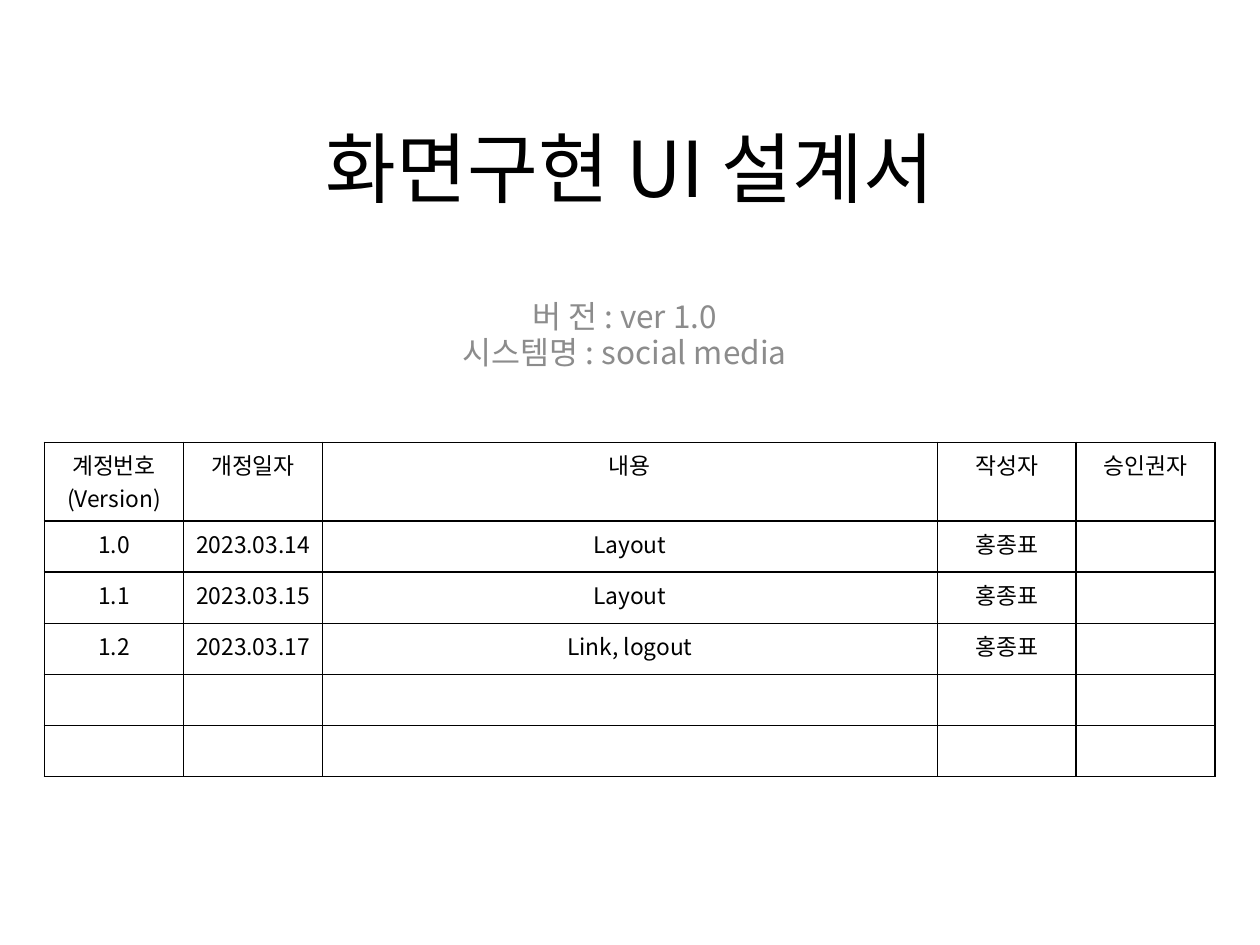
from lxml import etree
from pptx import Presentation
from pptx.dml.color import RGBColor
from pptx.enum.text import MSO_ANCHOR, PP_ALIGN
from pptx.oxml.ns import qn
from pptx.util import Pt

CENTER, MIDDLE, TOP = PP_ALIGN.CENTER, MSO_ANCHOR.MIDDLE, MSO_ANCHOR.TOP
FONT = "Noto Sans CJK KR"
COLORS = {"ink": "000000", "muted": "8C8C8C"}
TITLE = "화면구현 UI 설계서"
INFO = ["버 전 : ver 1.0", "시스템명 : social media"]
COLS = [79.4, 79.4, 351.4, 79.4, 79.4]
ROWS = [45] + [29.2] * 5
LOG = [
    ["계정번호(Version)", "개정일자", "내용", "작성자", "승인권자"],
    ["1.0", "2023.03.14", "Layout", "홍종표", ""],
    ["1.1", "2023.03.15", "Layout", "홍종표", ""],
    ["1.2", "2023.03.17", "Link, logout", "홍종표", ""],
    [""] * 5,
    [""] * 5,
]


def style(frame, size, color):
    """Centre the text of a frame and set its font."""
    for para in frame.paragraphs:
        para.alignment = CENTER
        for run in para.runs:
            run.font.size = Pt(size)
            run.font.name = FONT
            run.font.color.rgb = RGBColor.from_string(COLORS[color])
            asian = etree.SubElement(run.font._element, qn("a:ea"))
            asian.set("typeface", FONT)
        if not para.runs:
            end = etree.SubElement(para._p, qn("a:endParaRPr"))
            end.set("sz", str(size * 100))


def border(cell):
    """Draw a thin line on each side of a cell."""
    props = cell._tc.get_or_add_tcPr()
    for spot, side in enumerate(("lnL", "lnR", "lnT", "lnB")):
        line = etree.Element(qn("a:" + side), w=str(Pt(1)))
        fill = etree.SubElement(line, qn("a:solidFill"))
        etree.SubElement(fill, qn("a:srgbClr"), val=COLORS["ink"])
        props.insert(spot, line)


def add_title(slide, left, top, width, height):
    title = slide.shapes.title
    title.left, title.top = Pt(left), Pt(top)
    title.width, title.height = Pt(width), Pt(height)
    title.text_frame.text = TITLE
    title.text_frame.vertical_anchor = MIDDLE
    style(title.text_frame, 44, "ink")


def add_info(slide, left, top, width, height):
    box = slide.shapes.add_textbox(Pt(left), Pt(top), Pt(width), Pt(height))
    frame = box.text_frame
    frame.word_wrap = True
    frame.vertical_anchor = TOP
    frame.text = "\n".join(INFO)
    style(frame, 18, "muted")
    for para in frame.paragraphs:
        para.line_spacing = 0.95


def add_log(slide, left, top):
    shape = slide.shapes.add_table(
        len(ROWS), len(COLS), Pt(left), Pt(top), Pt(sum(COLS)), Pt(sum(ROWS)))
    table = shape.table
    table.first_row = table.horz_banding = False
    for col, width in zip(table.columns, COLS):
        col.width = Pt(width)
    for row, height, texts in zip(table.rows, ROWS, LOG):
        row.height = Pt(height)
        for cell, text in zip(row.cells, texts):
            cell.text_frame.text = text
            cell.fill.background()
            style(cell.text_frame, 13, "ink")
            border(cell)


deck = Presentation()
deck.slide_width, deck.slide_height = Pt(720), Pt(540)
cover = deck.slides.add_slide(deck.slide_layouts[5])
add_title(cover, 54, 37.4, 612, 116)
add_info(cover, 105, 168, 504, 138)
add_log(cover, 25.4, 252.8)
deck.save("out.pptx")
